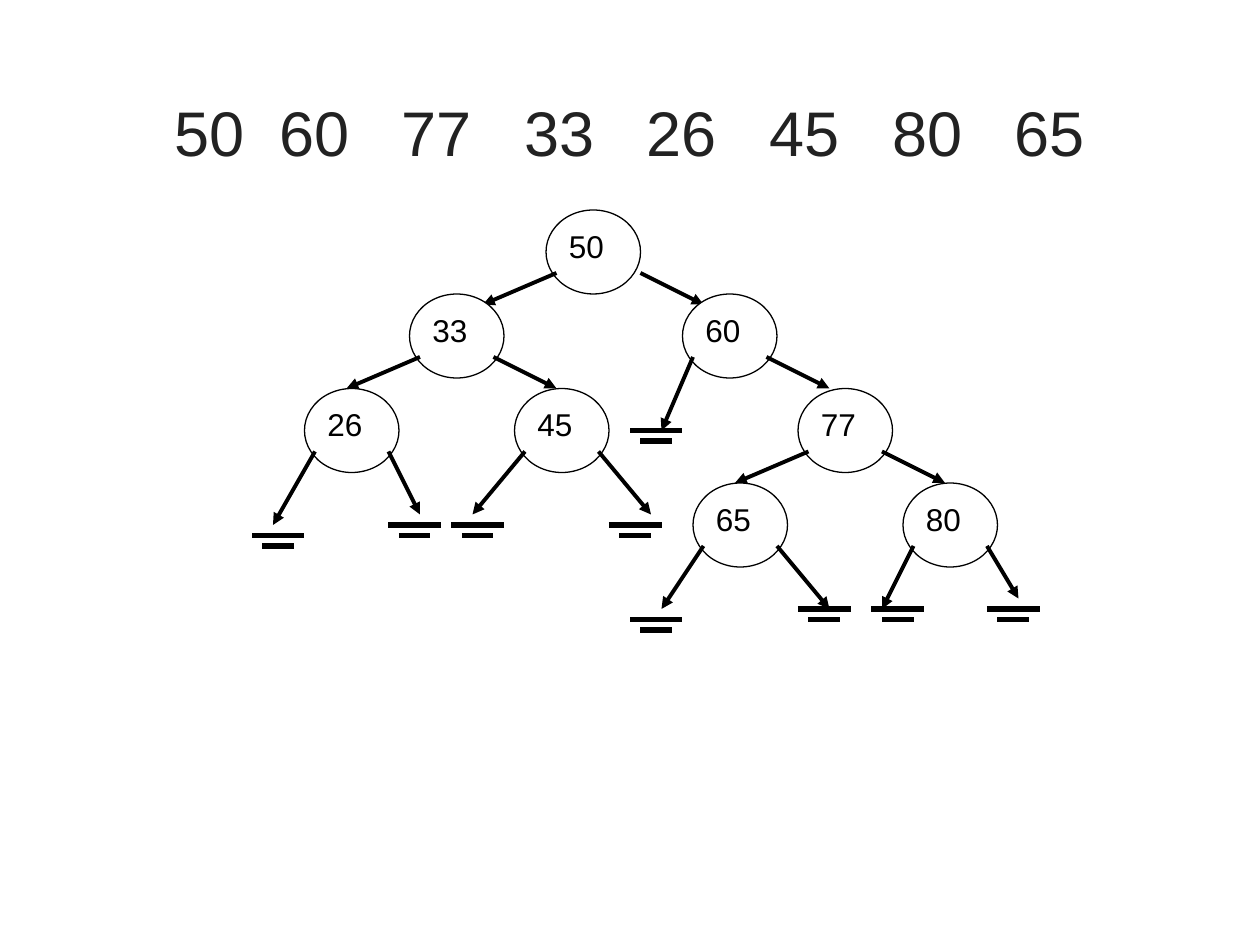
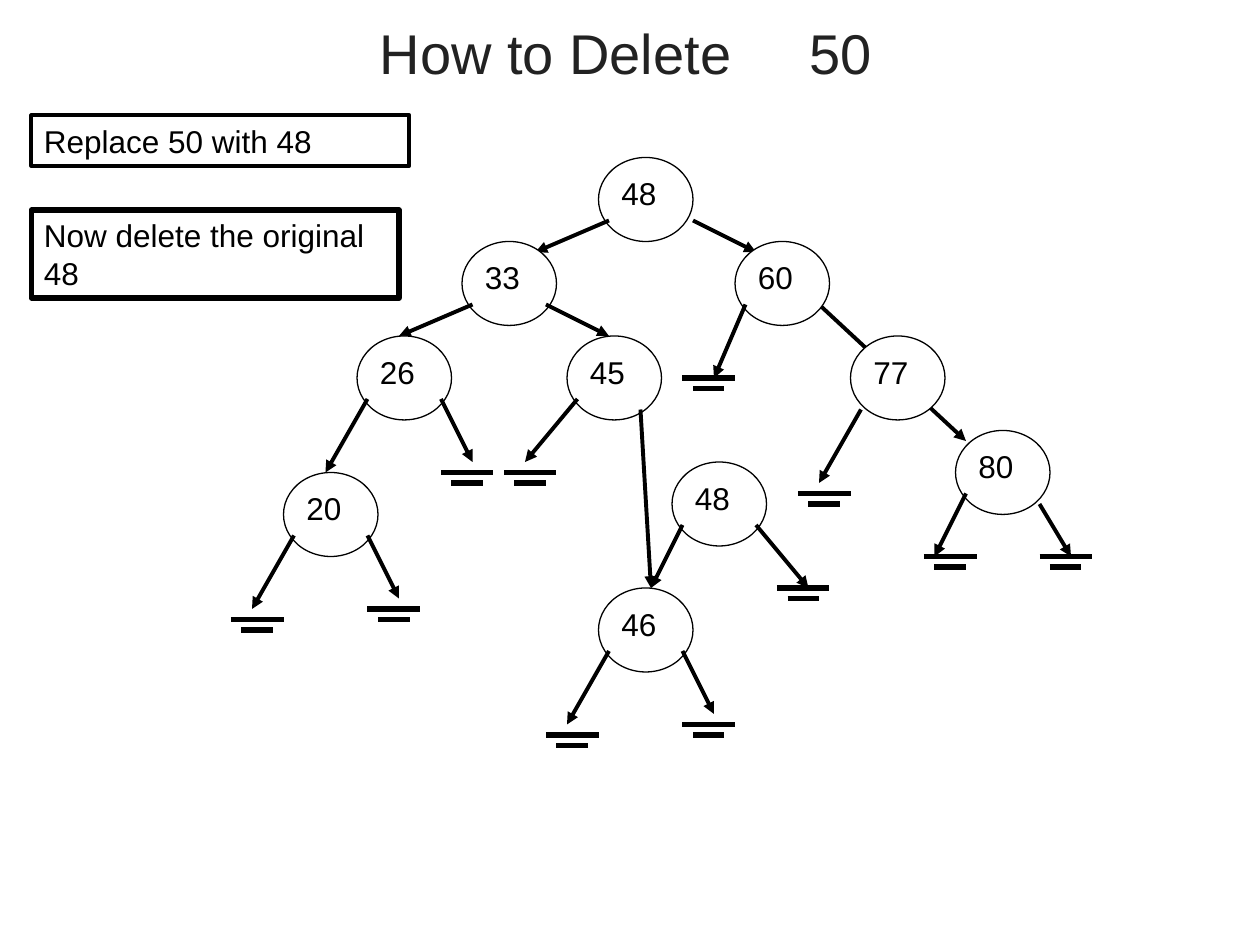
from dataclasses import dataclass

from pptx import Presentation
from pptx.dml.color import RGBColor
from pptx.enum.shapes import MSO_CONNECTOR, MSO_SHAPE
from pptx.enum.text import MSO_ANCHOR, MSO_AUTO_SIZE, PP_ALIGN
from pptx.oxml.ns import qn
from pptx.slide import Slide
from pptx.text.text import TextFrame, _Paragraph
from pptx.util import Cm, Length, Pt
from lxml.etree import SubElement

BLACK = RGBColor(0x00, 0x00, 0x00)
WHITE = RGBColor(0xFF, 0xFF, 0xFF)
TITLE_GREY = RGBColor(0x22, 0x22, 0x22)
FONT = "Arial"
STEPS_PER_INCH = 12
NODE_WIDTH, NODE_HEIGHT = 9, 8

Point = tuple[float, float]


@dataclass(frozen=True)
class Heading:
    text: str
    top: float
    height: float
    size: int
    indent: float
    tab_stops: tuple[float, ...]


@dataclass(frozen=True)
class Node:
    key: str
    x: float
    y: float
    left_tip: Point | None = None
    right_tip: Point | None = None
    left_start: Point = (1, 6)
    right_start: Point = (8, 6)


@dataclass(frozen=True)
class Note:
    text: str
    y: float
    width: float
    height: float
    border: float


@dataclass(frozen=True)
class TreeSlide:
    heading: Heading
    nodes: tuple[Node, ...]
    null_links: tuple[Point, ...]
    back_arrows: tuple[tuple[Point, Point], ...] = ()
    notes: tuple[Note, ...] = ()


INSERTION = TreeSlide(
    heading=Heading("50\t60\t77\t33\t26\t45\t80\t65", 5, 15, 36, 2.03,
                    tuple(2.12 + 2.47 * i for i in range(7))),
    nodes=(
        Node("50", 52, 20, (46, 29), (67, 29), right_start=(9, 6)),
        Node("60", 65, 28, (63, 41), (79, 37)),
        Node("77", 76, 37, (70, 46), (90, 46)),
        Node("33", 39, 28, (33, 37), (53, 37)),
        Node("26", 29, 37, (26, 50), (40, 49)),
        Node("45", 49, 37, (45, 49), (62, 49)),
        Node("80", 86, 46, (84, 58), (97, 57)),
        Node("65", 66, 46, (63, 58), (79, 58)),
    ),
    null_links=((24, 51), (37, 50), (43, 50), (58, 50), (60, 41),
                (60, 59), (76, 58), (83, 58), (94, 58)),
)

DELETION = TreeSlide(
    heading=Heading("How to Delete\t50", 1, 8, 32, 6.17, (8.66,)),
    nodes=(
        Node("48", 57, 15, (51, 24), (72, 24), right_start=(9, 6)),
        Node("60", 70, 23, (68, 36)),
        Node("77", 81, 32, (78, 46), left_start=(1, 7)),
        Node("33", 44, 23, (38, 32), (58, 32)),
        Node("26", 34, 32, (31, 45), (45, 44)),
        Node("45", 54, 32, (50, 44), (62, 56), right_start=(7, 7)),
        Node("80", 91, 41, (89, 53), (102, 53), right_start=(8, 7)),
        Node("48", 64, 44, (62, 56), (77, 56)),
        Node("20", 27, 45, (24, 58), (38, 57)),
        Node("46", 57, 56, (54, 69), (68, 68)),
    ),
    null_links=((42, 45), (48, 45), (65, 36), (74, 56), (88, 53), (99, 53),
                (22, 59), (35, 58), (52, 70), (65, 69), (76, 47)),
    back_arrows=(((78, 29), (92, 42)),),
    notes=(
        Note("Replace 50 with 48", 11, 36, 4.8, 2.25),
        Note("Now delete the original 48", 20, 35, 8.4, 3),
    ),
)


def grid(steps: float) -> Length:
    return Cm(steps * 2.54 / STEPS_PER_INCH)


def write(frame: TextFrame, text: str, size: int, color: RGBColor) -> _Paragraph:
    frame.word_wrap = True
    frame.auto_size = MSO_AUTO_SIZE.NONE
    paragraph = frame.paragraphs[0]
    paragraph.alignment = PP_ALIGN.LEFT
    run = paragraph.add_run()
    run.text = text
    run.font.name = FONT
    run.font.size = Pt(size)
    run.font.color.rgb = color
    return paragraph


def add_heading(slide: Slide, heading: Heading) -> None:
    title = slide.shapes.title
    title.left, title.top = grid(7), grid(heading.top)
    title.width, title.height = grid(106), grid(heading.height)
    frame = title.text_frame
    frame.vertical_anchor = MSO_ANCHOR.MIDDLE
    frame.margin_left, frame.margin_right = Cm(heading.indent), 0
    paragraph = write(frame, heading.text, heading.size, TITLE_GREY)
    tabs = SubElement(paragraph._p.get_or_add_pPr(), qn("a:tabLst"))
    for stop in heading.tab_stops:
        SubElement(tabs, qn("a:tab"), pos=str(Cm(stop)), algn="l")


def add_line(slide: Slide, start: Point, end: Point, width: float,
             arrow: bool = False) -> None:
    line = slide.shapes.add_connector(
        MSO_CONNECTOR.STRAIGHT, *(grid(steps) for steps in (*start, *end)))
    line.line.color.rgb = BLACK
    line.line.width = Pt(width)
    properties = line._element.spPr
    if arrow:
        SubElement(properties.find(qn("a:ln")), qn("a:tailEnd"), type="triangle")
    SubElement(properties, qn("a:effectLst"))


def add_arrow(slide: Slide, start: Point, tip: Point) -> None:
    add_line(slide, start, tip, 2.25, arrow=True)


def add_text(slide: Slide, text: str, x: float, y: float, width: float,
             height: float, border: float | None = None) -> None:
    box = slide.shapes.add_textbox(grid(x), grid(y), grid(width), grid(height))
    if border:
        box.line.color.rgb = BLACK
        box.line.width = Pt(border)
    write(box.text_frame, text, 18, BLACK)


def add_node(slide: Slide, node: Node) -> None:
    circle = slide.shapes.add_shape(
        MSO_SHAPE.OVAL, grid(node.x), grid(node.y), grid(NODE_WIDTH), grid(NODE_HEIGHT))
    circle.shadow.inherit = False
    circle.fill.solid()
    circle.fill.fore_color.rgb = WHITE
    circle.line.color.rgb = BLACK
    circle.line.width = Pt(0.75)
    add_text(slide, node.key, node.x + 1, node.y + 1, 7, 4.8)
    for (dx, dy), tip in ((node.left_start, node.left_tip),
                          (node.right_start, node.right_tip)):
        if tip:
            add_arrow(slide, (node.x + dx, node.y + dy), tip)


def add_null_link(slide: Slide, x: float, y: float) -> None:
    add_line(slide, (x, y), (x + 5, y), 3)
    add_line(slide, (x + 1, y + 1), (x + 4, y + 1), 3)


def add_tree_slide(deck: Presentation, content: TreeSlide) -> None:
    slide = deck.slides.add_slide(deck.slide_layouts.get_by_name("Title Only"))
    add_heading(slide, content.heading)
    for start, tip in content.back_arrows:
        add_arrow(slide, start, tip)
    for node in content.nodes:
        add_node(slide, node)
    for x, y in content.null_links:
        add_null_link(slide, x, y)
    for note in content.notes:
        add_text(slide, note.text, 3, note.y, note.width, note.height, note.border)


def main() -> None:
    deck = Presentation()
    deck.slide_width, deck.slide_height = Cm(25.4), Cm(19.05)
    for content in (INSERTION, DELETION):
        add_tree_slide(deck, content)
    deck.save("out.pptx")


if __name__ == "__main__":
    main()
